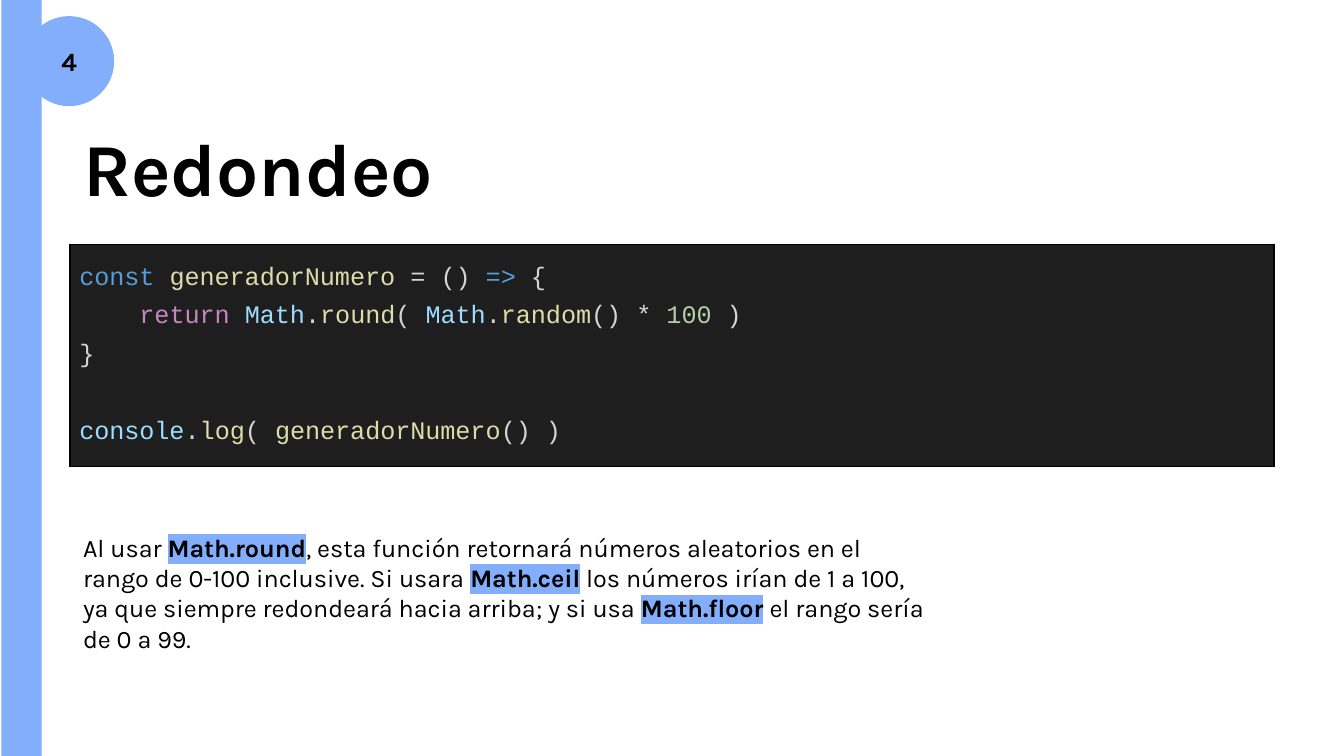
from lxml import etree
from pptx import Presentation
from pptx.dml.color import RGBColor
from pptx.enum import shapes, text
from pptx.oxml import ns
from pptx.util import Inches, Pt

WHITE = RGBColor(0xFF, 0xFF, 0xFF)
BLACK = RGBColor(0x00, 0x00, 0x00)
ACCENT = RGBColor(0x83, 0xAE, 0xFB)
CODE_BG = RGBColor(0x1E, 0x1E, 0x1E)
KEYWORD = RGBColor(0x56, 0x9C, 0xD6)
FUNCTION = RGBColor(0xDC, 0xDC, 0xAA)
PLAIN = RGBColor(0xD4, 0xD4, 0xD4)
CONTROL = RGBColor(0xC5, 0x86, 0xC0)
OBJECT = RGBColor(0x9C, 0xDC, 0xFE)
NUMBER = RGBColor(0xB5, 0xCE, 0xA8)


def add_run(p, words, size=13.5, font="Karla", color=BLACK, bold=False, highlight=None):
    r = p.add_run()
    r.text = words
    r.font.size = Pt(size)
    r.font.name = font
    r.font.bold = bold
    r.font.color.rgb = color
    if highlight is not None:
        # The schema wants the highlight right after the text fill
        mark = etree.Element(ns.qn("a:highlight"))
        etree.SubElement(mark, ns.qn("a:srgbClr"), val=str(highlight))
        r.font._element.find(ns.qn("a:solidFill")).addnext(mark)


def set_frame(tf, anchor=text.MSO_ANCHOR.TOP, right=0.1):
    """Wrap the text and set its anchor and margins."""
    tf.word_wrap = True
    tf.auto_size = text.MSO_AUTO_SIZE.NONE
    tf.vertical_anchor = anchor
    tf.margin_left = tf.margin_top = tf.margin_bottom = Inches(0.1)
    tf.margin_right = Inches(right)


prs = Presentation()
prs.slide_width = Inches(10)
prs.slide_height = Inches(10) * 9 // 16
s = prs.slides.add_slide(prs.slide_layouts[5])
s.background.fill.solid()
s.background.fill.fore_color.rgb = WHITE

left, width = Inches(0.52), Inches(8.96)

# Side band
band = s.shapes.add_shape(shapes.MSO_SHAPE.RECTANGLE, Inches(0.01), 0, Inches(0.3), prs.slide_height)
band.shadow.inherit = False
band.fill.solid()
band.fill.fore_color.rgb = ACCENT
band.line.fill.background()

# Title
title = s.shapes.title
title.left, title.top, title.width, title.height = left, Inches(0.88), width, Inches(0.81)
set_frame(title.text_frame)
p = title.text_frame.paragraphs[0]
p.alignment = text.PP_ALIGN.LEFT
p.line_spacing = 0.9
add_run(p, "Redondeo", size=40, bold=True)

# Code block
code = [
    [("const ", KEYWORD), ("generadorNumero", FUNCTION), (" = () ", PLAIN), ("=>", KEYWORD), (" {", PLAIN)],
    [("    ", PLAIN), ("return ", CONTROL), ("Math", OBJECT), (".", PLAIN), ("round", FUNCTION),
     ("( ", PLAIN), ("Math", OBJECT), (".", PLAIN), ("random", FUNCTION), ("() * ", PLAIN),
     ("100", NUMBER), (" )", PLAIN)],
    [("}", PLAIN)],
    [],
    [("console", OBJECT), (".", PLAIN), ("log", FUNCTION), ("( ", PLAIN),
     ("generadorNumero", FUNCTION), ("() )", PLAIN)],
]
table = s.shapes.add_table(1, 1, left, Inches(1.82), width, Inches(1.65)).table
table.first_row = table.horz_banding = False
cell = table.cell(0, 0)
cell.fill.solid()
cell.fill.fore_color.rgb = CODE_BG
cell.margin_left = cell.margin_right = cell.margin_top = cell.margin_bottom = Inches(0.07)
tcPr = cell._tc.get_or_add_tcPr()
for i, side in enumerate(("lnL", "lnR", "lnT", "lnB")):
    ln = etree.Element(ns.qn(f"a:{side}"), w=str(Pt(1)))
    fill = etree.SubElement(ln, ns.qn("a:solidFill"))
    etree.SubElement(fill, ns.qn("a:srgbClr"), val=str(BLACK))
    tcPr.insert(i, ln)

tf = cell.text_frame
for i, line in enumerate(code):
    p = tf.add_paragraph() if i else tf.paragraphs[0]
    p.line_spacing = 1.36
    for words, color in line:
        add_run(p, words, font="Courier New", color=color)
    if not line:
        end = etree.SubElement(p._p, ns.qn("a:endParaRPr"), sz="1350")
        etree.SubElement(end, ns.qn("a:latin"), typeface="Courier New")

# Explanation
note = s.shapes.add_shape(shapes.MSO_SHAPE.RECTANGLE, left, Inches(3.86), width, Inches(1.11))
note.shadow.inherit = False
note.fill.background()
note.line.color.rgb = WHITE
note.line.width = Pt(0.75)
set_frame(note.text_frame, right=2.57)
p = note.text_frame.paragraphs[0]
p.alignment = text.PP_ALIGN.LEFT
for words, method in [
    ("Al usar ", "Math.round"),
    (", esta función retornará números aleatorios en el rango de 0-100 inclusive. Si usara ", "Math.ceil"),
    (" los números irían de 1 a 100, ya que siempre redondeará hacia arriba; y si usa ", "Math.floor"),
]:
    add_run(p, words)
    add_run(p, method, bold=True, highlight=ACCENT)
add_run(p, " el rango sería de 0 a 99.")

# Page number
badge = s.shapes.add_shape(shapes.MSO_SHAPE.OVAL, Inches(0.18), Inches(0.12), Inches(0.67), Inches(0.67))
badge.shadow.inherit = False
badge.fill.solid()
badge.fill.fore_color.rgb = ACCENT
badge.line.fill.background()
set_frame(badge.text_frame, anchor=text.MSO_ANCHOR.MIDDLE)
p = badge.text_frame.paragraphs[0]
p.alignment = text.PP_ALIGN.CENTER
add_run(p, "4", size=14, bold=True)

prs.save("out.pptx")
